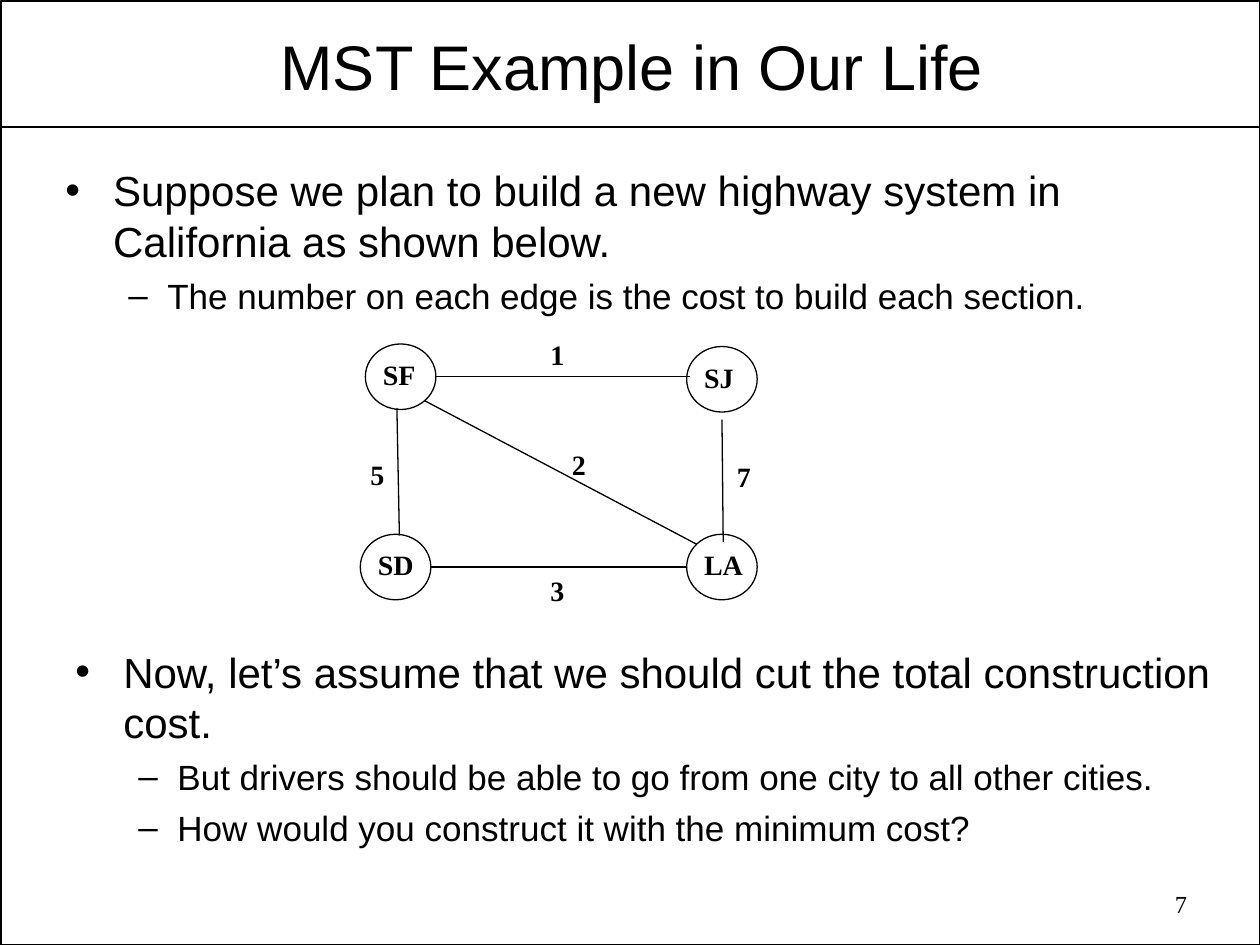
"""Build the slide on a minimum spanning tree of four cities."""
import dataclasses

import lxml.etree
import pptx
import pptx.dml.color
import pptx.enum.shapes
import pptx.enum.text
import pptx.oxml.ns
import pptx.util

Inches = pptx.util.Inches
Align = pptx.enum.text.PP_ALIGN
Anchor = pptx.enum.text.MSO_ANCHOR
Preset = pptx.enum.shapes.MSO_SHAPE
qn = pptx.oxml.ns.qn


@dataclasses.dataclass
class Theme:
    ink: str = "000000"
    paper: str = "FFFFFF"
    sans: str = "Arial"
    serif: str = "Times New Roman"
    title_size: int = 36
    body_sizes: tuple = (24, 20)
    label_size: int = 16
    number_size: int = 14
    bullets: tuple = ("•", "–")
    indents: tuple = ((0.38, -0.38), (0.81, -0.31))
    spaces_before: tuple = (6, 5)
    frame_line: float = 1
    graph_line: float = 0.75


def color(value):
    return pptx.dml.color.RGBColor.from_string(value)


def write_text(paragraph, text, *, font, size, ink, bold=False, align=Align.LEFT):
    paragraph.alignment = align
    run = paragraph.add_run()
    run.text = text
    run.font.name = font
    run.font.size = pptx.util.Pt(size)
    run.font.bold = bold
    run.font.color.rgb = color(ink)


class SlideBuilder:
    def __init__(self, slide, theme):
        self.slide = slide
        self.theme = theme
        slide.background.fill.solid()
        slide.background.fill.fore_color.rgb = color(theme.paper)

    def outline(self, preset, left, top, width, height, weight, parent=None):
        shapes = (parent or self.slide).shapes
        shape = shapes.add_shape(preset, Inches(left), Inches(top), Inches(width), Inches(height))
        shape.shadow.inherit = False
        shape.fill.background()
        shape.line.color.rgb = color(self.theme.ink)
        shape.line.width = pptx.util.Pt(weight)

    def line(self, start, end, weight):
        points = [Inches(value) for value in (*start, *end)]
        straight = pptx.enum.shapes.MSO_CONNECTOR.STRAIGHT
        connector = self.slide.shapes.add_connector(straight, *points)
        connector.line.color.rgb = color(self.theme.ink)
        connector.line.width = pptx.util.Pt(weight)
        lxml.etree.SubElement(connector._element.spPr, qn("a:effectLst"))

    def text_frame(self, left, top, width, height, wrap=True, parent=None):
        shapes = (parent or self.slide).shapes
        box = shapes.add_textbox(Inches(left), Inches(top), Inches(width), Inches(height))
        box.text_frame.word_wrap = wrap
        return box.text_frame

    def title(self, text, *place):
        frame = self.text_frame(*place)
        frame.margin_left = frame.margin_right = Inches(0.07)
        frame.margin_top = frame.margin_bottom = Inches(0.03)
        frame.vertical_anchor = Anchor.MIDDLE
        write_text(frame.paragraphs[0], text, font=self.theme.sans,
                   size=self.theme.title_size, ink=self.theme.ink, align=Align.CENTER)

    def bullet_list(self, items, *place):
        theme = self.theme
        frame = self.text_frame(*place)
        for index, (level, text) in enumerate(items):
            paragraph = frame.add_paragraph() if index else frame.paragraphs[0]
            paragraph.level = level
            margin, indent = theme.indents[level]
            properties = paragraph._p.get_or_add_pPr()
            properties.set("marL", str(Inches(margin)))
            properties.set("indent", str(Inches(indent)))
            bullet_color = lxml.etree.SubElement(properties, qn("a:buClr"))
            lxml.etree.SubElement(bullet_color, qn("a:srgbClr"), val=theme.ink)
            lxml.etree.SubElement(properties, qn("a:buFont"), typeface=theme.sans)
            lxml.etree.SubElement(properties, qn("a:buChar"), char=theme.bullets[level])
            if index:
                paragraph.space_before = pptx.util.Pt(theme.spaces_before[level])
            write_text(paragraph, text, font=theme.sans,
                       size=theme.body_sizes[level], ink=theme.ink)

    def label(self, text, left, top, width=0.31, parent=None):
        frame = self.text_frame(left, top, width, 0.37, wrap=False, parent=parent)
        frame.auto_size = pptx.enum.text.MSO_AUTO_SIZE.SHAPE_TO_FIT_TEXT
        write_text(frame.paragraphs[0], text, font=self.theme.serif,
                   size=self.theme.label_size, ink=self.theme.ink, bold=True)

    def city(self, name, left, top, label_width):
        group = self.slide.shapes.add_group_shape()
        self.label(name, left + 0.04, top + 0.06, label_width, group)
        self.outline(Preset.OVAL, left, top, 0.56, 0.52, self.theme.graph_line, group)

    def road(self, start, end, cost, label_place):
        self.line(start, end, self.theme.graph_line)
        self.label(cost, *label_place)

    def page_number(self, text, *place):
        frame = self.text_frame(*place)
        write_text(frame.paragraphs[0], text, font=self.theme.serif,
                   size=self.theme.number_size, ink=self.theme.ink, align=Align.RIGHT)


CITIES = [
    ("SF", 2.9, 2.73, 0.46),
    ("SJ", 5.45, 2.75, 0.45),
    ("SD", 2.86, 4.24, 0.49),
    ("LA", 5.45, 4.24, 0.52),
]
ROADS = [
    ((3.46, 2.99), (5.48, 2.99), "1", (4.27, 2.63)),
    ((5.73, 3.33), (5.74, 4.3), "7", (5.75, 3.6)),
    ((5.53, 4.32), (3.37, 3.18), "2", (4.44, 3.5)),
    ((3.15, 3.24), (3.17, 4.25), "5", (2.84, 3.58)),
    ((5.45, 4.5), (3.42, 4.5), "3", (4.27, 4.5)),
]
PLAN = [
    (0, "Suppose we plan to build a new highway system in California as shown below."),
    (1, "The number on each edge is the cost to build each section."),
]
QUESTION = [
    (0, "Now, let’s assume that we should cut the total construction cost."),
    (1, "But drivers should be able to go from one city to all other cities."),
    (1, "How would you construct it with the minimum cost?"),
]


def main():
    presentation = pptx.Presentation()
    presentation.slide_width = Inches(10)
    presentation.slide_height = Inches(7.5)
    slide = presentation.slides.add_slide(presentation.slide_layouts[6])
    theme = Theme()
    builder = SlideBuilder(slide, theme)
    builder.outline(Preset.RECTANGLE, 0.01, 0.01, 9.99, 7.49, theme.frame_line)
    builder.line((0.01, 1.01), (9.99, 1.01), theme.frame_line)
    builder.title("MST Example in Our Life", 0.53, 0.19, 8.97, 0.66)
    builder.bullet_list(PLAN, 0.42, 1.26, 9.17, 1.43)
    builder.page_number("7", 7.18, 7.01, 2.34, 0.36)
    for city in CITIES:
        builder.city(*city)
    for road in ROADS:
        builder.road(*road)
    builder.bullet_list(QUESTION, 0.5, 5.08, 9.25, 2.23)
    presentation.save("out.pptx")


if __name__ == "__main__":
    main()
